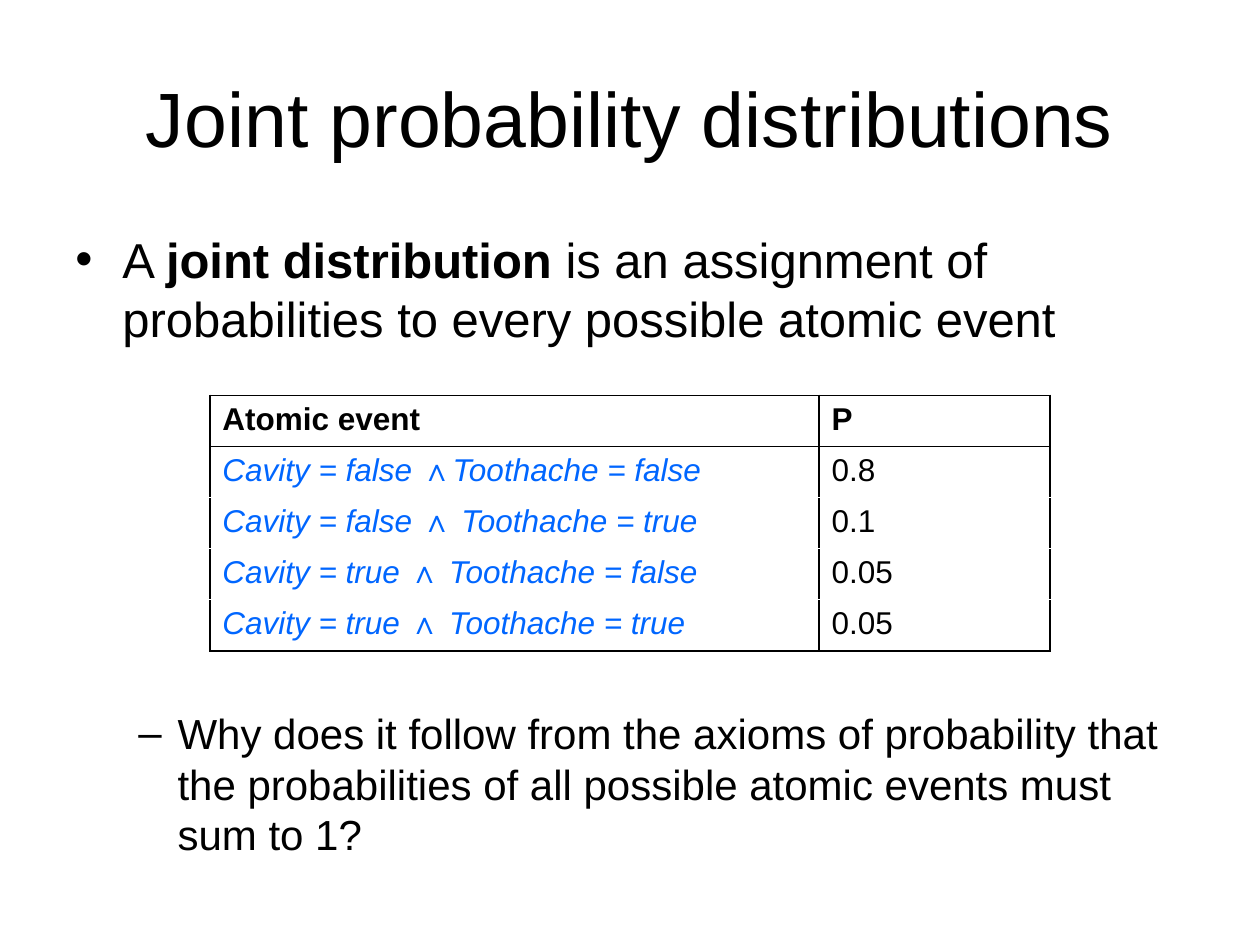
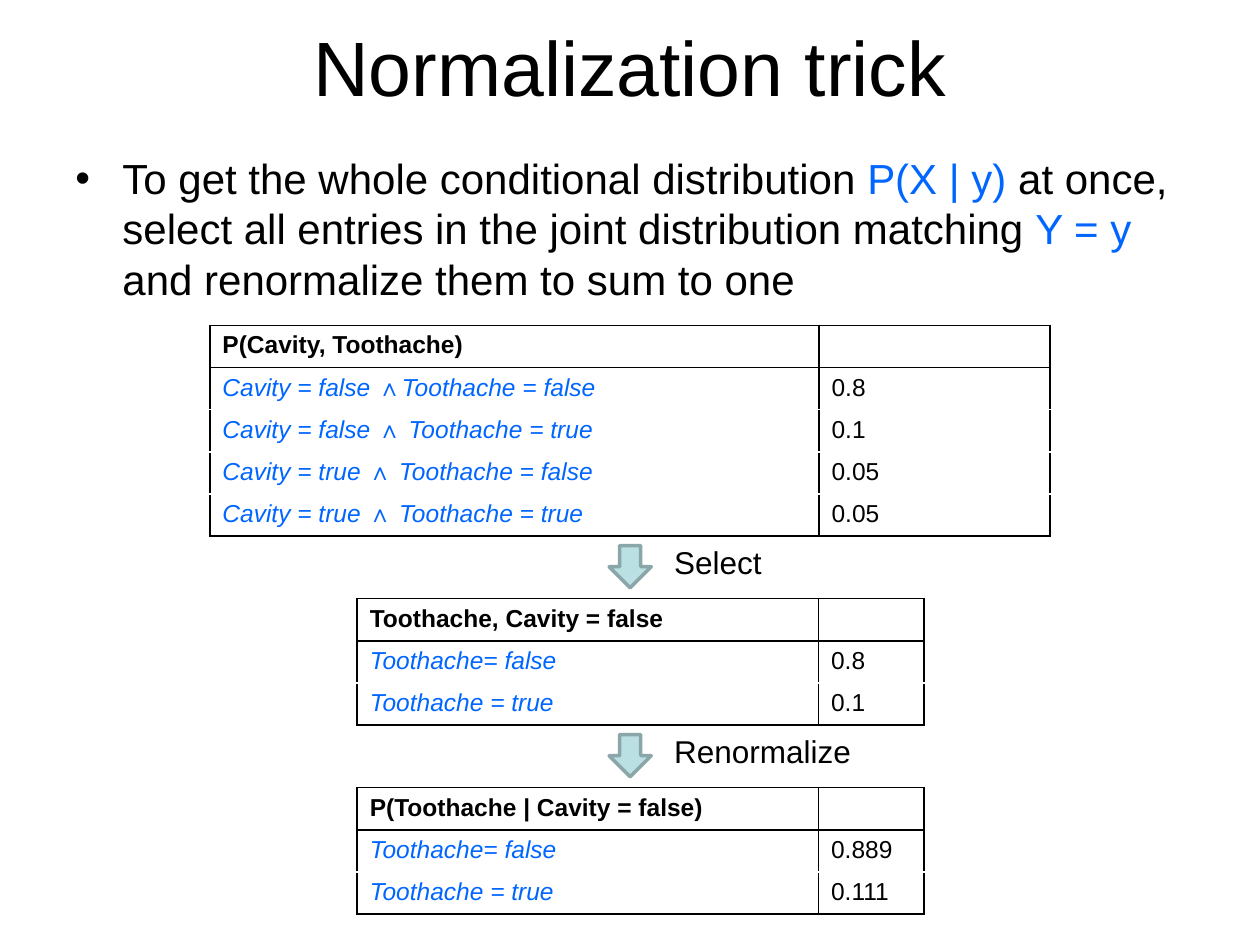
from dataclasses import dataclass

from lxml import etree
from pptx import Presentation
from pptx import util as u
from pptx.dml.color import RGBColor
from pptx.enum import shapes, text
from pptx.oxml.ns import qn

BLACK = RGBColor(0x00, 0x00, 0x00)
WHITE = RGBColor(0xFF, 0xFF, 0xFF)
BLUE = RGBColor(0x00, 0x66, 0xFF)
ARROW_FILL = RGBColor(0xBB, 0xE0, 0xE3)
ARROW_LINE = RGBColor(0x8A, 0xA6, 0xA8)
FONT = "Arial"

CONTENT_LEFT = u.Cm(1.27)
CONTENT_WIDTH = u.Cm(22.86)
LINE_PITCH = 1.2  # line height relative to the font size


@dataclass(frozen=True)
class Bullet:
    character: str
    indent: u.Length
    hanging: u.Length


@dataclass(frozen=True)
class Span:
    words: str
    bold: bool = False
    color: RGBColor = BLACK


@dataclass(frozen=True)
class ProbabilityTable:
    heading: tuple[str, str]
    rows: tuple[tuple[str, str], ...]
    left: u.Length
    top: u.Length
    column_widths: tuple[u.Length, u.Length]
    row_height: u.Length
    size: int


@dataclass(frozen=True)
class Step:
    label: str
    top: u.Length


DOT = Bullet("•", u.Cm(0.95), u.Cm(0.95))
DASH = Bullet("–", u.Cm(2.06), u.Cm(0.79))

JOINT_ROWS = (
    ("Cavity = false ∧Toothache = false", "0.8"),
    ("Cavity = false ∧ Toothache = true", "0.1"),
    ("Cavity = true ∧ Toothache = false", "0.05"),
    ("Cavity = true ∧ Toothache = true", "0.05"),
)
JOINT_LEFT = u.Cm(4.23)
JOINT_COLUMNS = (u.Cm(12.28), u.Cm(4.66))
SELECTED_LEFT = u.Cm(7.2)
SELECTED_COLUMNS = (u.Cm(9.3), u.Cm(2.13))


def write(paragraph, words: str, *, size: int, color: RGBColor = BLACK,
          bold: bool = False, italic: bool = False) -> None:
    """Add one formatted run to a paragraph."""
    run = paragraph.add_run()
    run.text = words
    run.font.name = FONT
    run.font.size = u.Pt(size)
    run.font.color.rgb = color
    run.font.bold = bold
    run.font.italic = italic


def add_box(slide, left: u.Length, top: u.Length, width: u.Length,
            height: u.Length, wrap: bool = True):
    """Add a text box and return its text frame."""
    frame = slide.shapes.add_textbox(left, top, width, height).text_frame
    frame.word_wrap = wrap
    return frame


def add_title(slide, words: str, top: u.Length, height: u.Length) -> None:
    frame = add_box(slide, CONTENT_LEFT, top, CONTENT_WIDTH, height)
    frame.vertical_anchor = text.MSO_ANCHOR.MIDDLE
    paragraph = frame.paragraphs[0]
    paragraph.alignment = text.PP_ALIGN.CENTER
    write(paragraph, words, size=44)


def add_point(slide, spans: list[Span], bullet: Bullet, size: int,
              top: u.Length, height: u.Length) -> None:
    """Add one bulleted paragraph across the content width."""
    frame = add_box(slide, CONTENT_LEFT, top, CONTENT_WIDTH, height)
    paragraph = frame.paragraphs[0]
    paragraph.line_spacing = u.Pt(size * LINE_PITCH)
    properties = paragraph._p.get_or_add_pPr()
    properties.set("marL", str(bullet.indent))
    properties.set("indent", str(-bullet.hanging))
    etree.SubElement(properties, qn("a:buFont"), typeface=FONT)
    etree.SubElement(properties, qn("a:buChar"), char=bullet.character)
    for span in spans:
        write(paragraph, span.words, size=size, bold=span.bold, color=span.color)


def set_borders(cell, top: RGBColor, bottom: RGBColor) -> None:
    """Draw 1 pt borders; the sides are always black."""
    properties = cell._tc.get_or_add_tcPr()
    for side, color in (("L", BLACK), ("R", BLACK), ("T", top), ("B", bottom)):
        line = etree.SubElement(properties, qn(f"a:ln{side}"), w=str(u.Pt(1)))
        fill = etree.SubElement(line, qn("a:solidFill"))
        etree.SubElement(fill, qn("a:srgbClr"), val=str(color))


def write_event(paragraph, event: str, size: int) -> None:
    """Write an event in blue italics with an upright conjunction sign."""
    for part in event.partition("∧"):
        if part:
            write(paragraph, part, size=size, color=BLUE, italic=part != "∧")


def add_probability_table(slide, data: ProbabilityTable) -> None:
    lines = (data.heading, *data.rows)
    table = slide.shapes.add_table(
        len(lines), 2, data.left, data.top,
        sum(data.column_widths), data.row_height * len(lines)).table
    table.first_row = table.horz_banding = False
    for column, width in zip(table.columns, data.column_widths):
        column.width = width

    last = len(lines) - 1
    for row, line in enumerate(lines):
        table.rows[row].height = data.row_height
        for column, words in enumerate(line):
            cell = table.cell(row, column)
            set_borders(cell, top=BLACK if row <= 1 else WHITE,
                        bottom=BLACK if row in (0, last) else WHITE)
            cell.fill.solid()
            cell.fill.fore_color.rgb = WHITE
            paragraph = cell.text_frame.paragraphs[0]
            if not words:  # keeps an empty cell from stretching its row
                etree.SubElement(paragraph._p, qn("a:endParaRPr"),
                                 sz=str(data.size * 100))
            elif row > 0 and column == 0:
                write_event(paragraph, words, data.size)
            else:
                write(paragraph, words, size=data.size, bold=row == 0)


def add_step(slide, step: Step) -> None:
    """Add a down arrow with its label to the right."""
    side = u.Cm(0.85)
    arrow = slide.shapes.add_shape(
        shapes.MSO_SHAPE.DOWN_ARROW, u.Cm(12.28), step.top, side, side)
    arrow.shadow.inherit = False
    arrow.fill.solid()
    arrow.fill.fore_color.rgb = ARROW_FILL
    arrow.line.color.rgb = ARROW_LINE
    arrow.line.width = u.Pt(2)
    frame = add_box(slide, u.Cm(13.34), step.top - u.Cm(0.18),
                    u.Cm(4.1), u.Cm(1.02), wrap=False)
    write(frame.paragraphs[0], step.label, size=18)


def build_joint_slide(slide) -> None:
    add_title(slide, "Joint probability distributions", u.Cm(0.76), u.Cm(3.18))
    add_point(slide, [
        Span("A "),
        Span("joint distribution ", bold=True),
        Span("is an assignment of probabilities to every possible atomic event"),
    ], DOT, 28, u.Cm(4.5), u.Cm(2.7))
    add_probability_table(slide, ProbabilityTable(
        ("Atomic event", "P"), JOINT_ROWS, JOINT_LEFT, u.Cm(7.97),
        JOINT_COLUMNS, u.Cm(1.03), 18))
    add_point(slide, [
        Span("Why does it follow from the axioms of probability that the "
             "probabilities of all possible atomic events must sum to 1?"),
    ], DASH, 24, u.Cm(14.14), u.Cm(3.4))


def build_normalization_slide(slide) -> None:
    add_title(slide, "Normalization trick", u.Cm(0.43), u.Cm(1.78))
    add_point(slide, [
        Span("To get the whole conditional distribution "),
        Span("P(X | y)", color=BLUE),
        Span(" at once, select all entries in the joint distribution matching "),
        Span("Y = y", color=BLUE),
        Span(" and renormalize them to sum to one"),
    ], DOT, 24, u.Cm(2.95), u.Cm(3.4))
    add_probability_table(slide, ProbabilityTable(
        ("P(Cavity, Toothache)", ""), JOINT_ROWS, JOINT_LEFT, u.Cm(6.56),
        JOINT_COLUMNS, u.Cm(0.85), 14))

    # Selected entries, then the same entries renormalized
    stages = (
        (Step("Select", u.Cm(11)), "Toothache, Cavity = false", ("0.8", "0.1")),
        (Step("Renormalize", u.Cm(14.81)), "P(Toothache | Cavity = false)",
         ("0.889", "0.111")),
    )
    events = ("Toothache= false", "Toothache = true")
    for step, heading, values in stages:
        add_step(slide, step)
        add_probability_table(slide, ProbabilityTable(
            (heading, ""), tuple(zip(events, values)), SELECTED_LEFT,
            step.top + u.Cm(1.07), SELECTED_COLUMNS, u.Cm(0.81), 14))


def main() -> None:
    presentation = Presentation()
    presentation.slide_width = u.Cm(25.4)
    presentation.slide_height = u.Cm(19.05)
    blank_layout = presentation.slide_layouts[6]
    for build in (build_joint_slide, build_normalization_slide):
        build(presentation.slides.add_slide(blank_layout))
    presentation.save("out.pptx")


if __name__ == "__main__":
    main()
